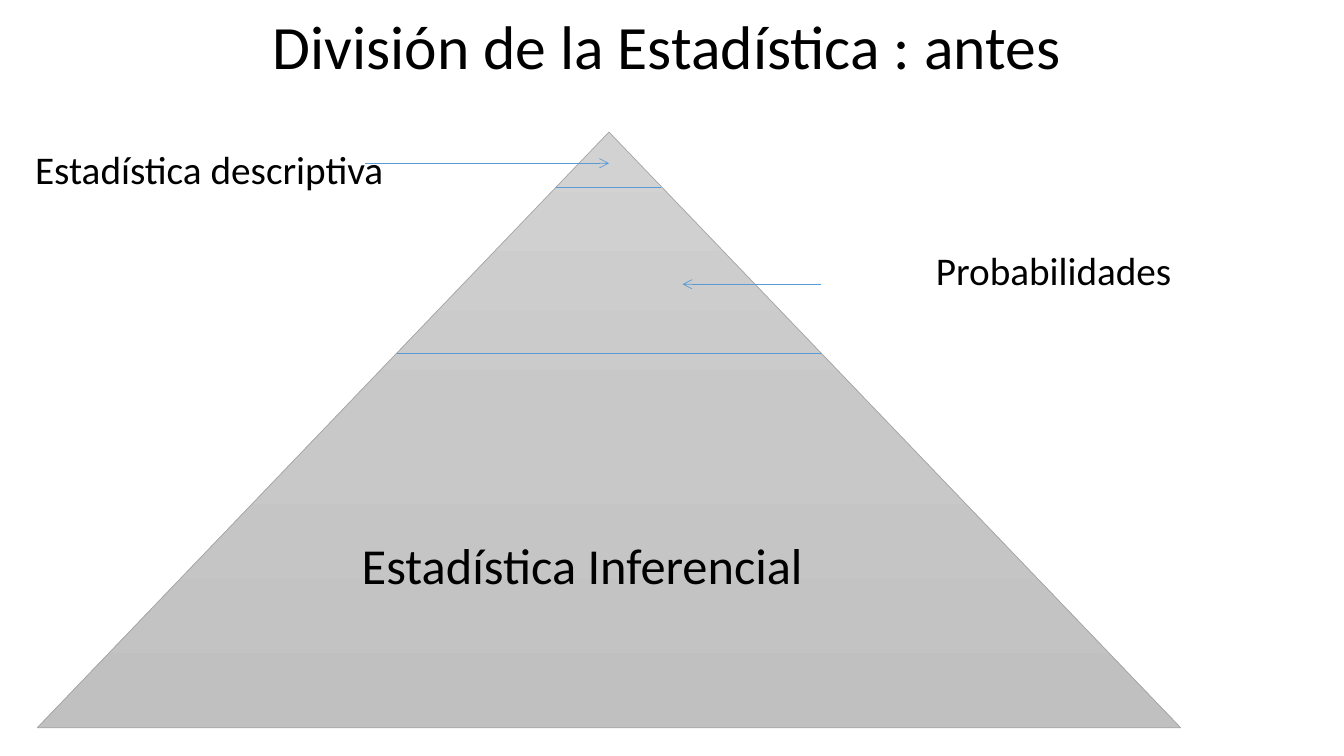
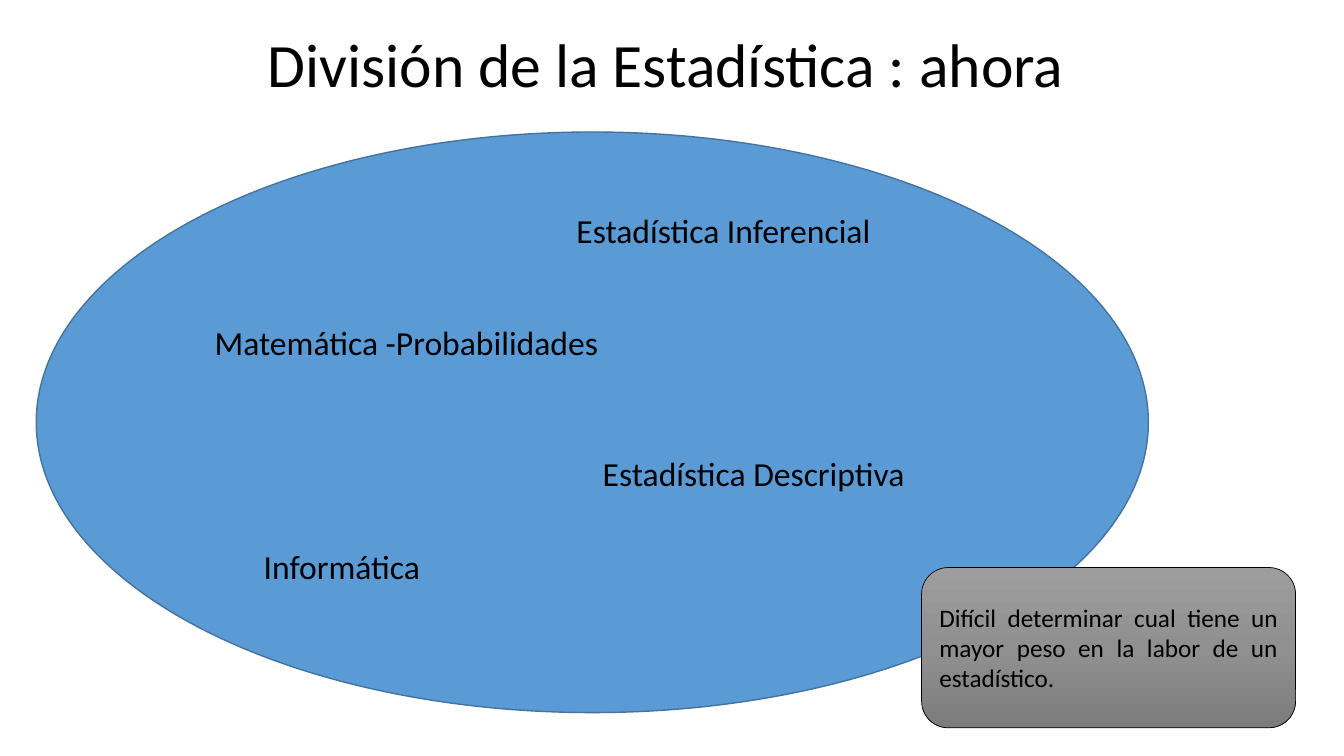
from dataclasses import dataclass

from lxml import etree
from pptx import Presentation
from pptx.dml.color import RGBColor
from pptx.enum.shapes import MSO_CONNECTOR, MSO_SHAPE
from pptx.enum.text import MSO_ANCHOR, PP_ALIGN
from pptx.oxml.ns import qn
from pptx.util import Emu, Pt

TRIANGLE = MSO_SHAPE.ISOSCELES_TRIANGLE
OVAL = MSO_SHAPE.OVAL
ROUNDED = MSO_SHAPE.ROUNDED_RECTANGLE
STRAIGHT = MSO_CONNECTOR.STRAIGHT
LEFT, CENTER, JUSTIFY = PP_ALIGN.LEFT, PP_ALIGN.CENTER, PP_ALIGN.JUSTIFY
TOP, MIDDLE = MSO_ANCHOR.TOP, MSO_ANCHOR.MIDDLE


@dataclass(frozen=True)
class Theme:
    font: str = "Calibri"
    ink: str = "000000"
    blue: str = "5B9BD5"
    blue_edge: str = "43739E"
    gray_edge: str = "A5A5A5"
    light_grays: tuple = ("D2D2D2", "C8C8C8", "C0C0C0")
    dark_grays: tuple = ("9D9D9D", "909090", "7C7C7C")
    title: int = 44
    heading: int = 36
    label: int = 28
    topic: int = 24
    note: int = 18
    hairline: float = 0.5


THEME = Theme()


# Units and formats
def px(n):
    """100 px make one inch."""
    return Emu(n * 9144)


def rgb(value):
    return RGBColor.from_string(value)


def write(sp, text, size=THEME.label, align=LEFT, anchor=TOP, spacing=None):
    tf = sp.text_frame
    tf.word_wrap = True
    tf.vertical_anchor = anchor
    p = tf.paragraphs[0]
    p.alignment = align
    if spacing:
        p.line_spacing = spacing
    r = p.add_run()
    r.text = text
    r.font.name = THEME.font
    r.font.size = Pt(size)
    r.font.color.rgb = rgb(THEME.ink)


def set_gradient(fill, colors):
    """Spread the colours evenly from top to bottom."""
    fill.gradient()
    fill.gradient_angle = 270
    stops = fill._xPr.find(qn("a:gradFill")).find(qn("a:gsLst"))
    for stop in list(stops):
        stops.remove(stop)
    for i, color in enumerate(colors):
        pos = 100000 * i // (len(colors) - 1)
        stop = etree.SubElement(stops, qn("a:gs"), pos=str(pos))
        etree.SubElement(stop, qn("a:srgbClr"), val=color)


# Elements
def add_text(slide, box, text, **style):
    sp = slide.shapes.add_textbox(*map(px, box))
    write(sp, text, **style)


def add_title(slide, left, top, text, spacing=None):
    add_text(slide, (left, top, 1249, 99), text, size=THEME.title,
             align=CENTER, anchor=MIDDLE, spacing=spacing)


def add_figure(slide, kind, box, fill, edge, width=THEME.hairline):
    sp = slide.shapes.add_shape(kind, *map(px, box))
    sp.shadow.inherit = False
    if isinstance(fill, tuple):
        set_gradient(sp.fill, fill)
    else:
        sp.fill.solid()
        sp.fill.fore_color.rgb = rgb(fill)
    sp.line.color.rgb = rgb(edge)
    sp.line.width = Pt(width)
    return sp


def add_line(slide, start, end, arrow=False):
    line = slide.shapes.add_connector(STRAIGHT, *map(px, start + end))
    line.line.color.rgb = rgb(THEME.blue)
    line.line.width = Pt(THEME.hairline)
    props = line._element.spPr
    etree.SubElement(props, qn("a:effectLst"))
    if arrow:
        etree.SubElement(props.find(qn("a:ln")), qn("a:tailEnd"), type="arrow")


# Slides
def build_before(slide):
    add_title(slide, 37, 0, "División de la Estadística : antes", spacing=0.9)
    add_figure(slide, TRIANGLE, (37, 131, 1134, 591),
               THEME.light_grays, THEME.gray_edge)
    # Level dividers
    add_line(slide, (551, 186), (656, 186))
    add_line(slide, (394, 351), (814, 351))
    # Level names and pointers
    add_text(slide, (268, 525, 619, 71), "Estadística Inferencial",
             size=THEME.heading, align=CENTER)
    add_text(slide, (814, 239, 462, 57), "Probabilidades", align=CENTER)
    add_line(slide, (814, 282), (677, 282), arrow=True)
    add_line(slide, (362, 162), (604, 162), arrow=True)
    add_text(slide, (25, 139, 367, 57), "Estadística descriptiva")


def build_now(slide):
    add_title(slide, 36, 13, "División de la Estadística : ahora")
    add_figure(slide, OVAL, (36, 131, 1103, 576),
               THEME.blue, THEME.blue_edge, width=1)
    # Topics inside the ellipse
    topics = [
        ((163, 537, 352, 50), "Informática", CENTER),
        ((588, 444, 476, 50), "Estadística Descriptiva", LEFT),
        ((460, 203, 515, 50), "Estadística Inferencial", CENTER),
        ((136, 314, 534, 50), "Matemática -Probabilidades", CENTER),
    ]
    for box, text, align in topics:
        add_text(slide, box, text, size=THEME.topic, align=align)
    # Closing note
    note = add_figure(slide, ROUNDED, (914, 563, 371, 159),
                      THEME.dark_grays, THEME.ink)
    write(note, "Difícil determinar cual tiene un mayor peso en la labor "
          "de un estadístico.", size=THEME.note, align=JUSTIFY, anchor=MIDDLE)


def main():
    prs = Presentation()
    prs.slide_width, prs.slide_height = px(1333), px(750)
    blank = prs.slide_layouts[6]
    for build in (build_before, build_now):
        build(prs.slides.add_slide(blank))
    prs.save("out.pptx")


if __name__ == "__main__":
    main()
